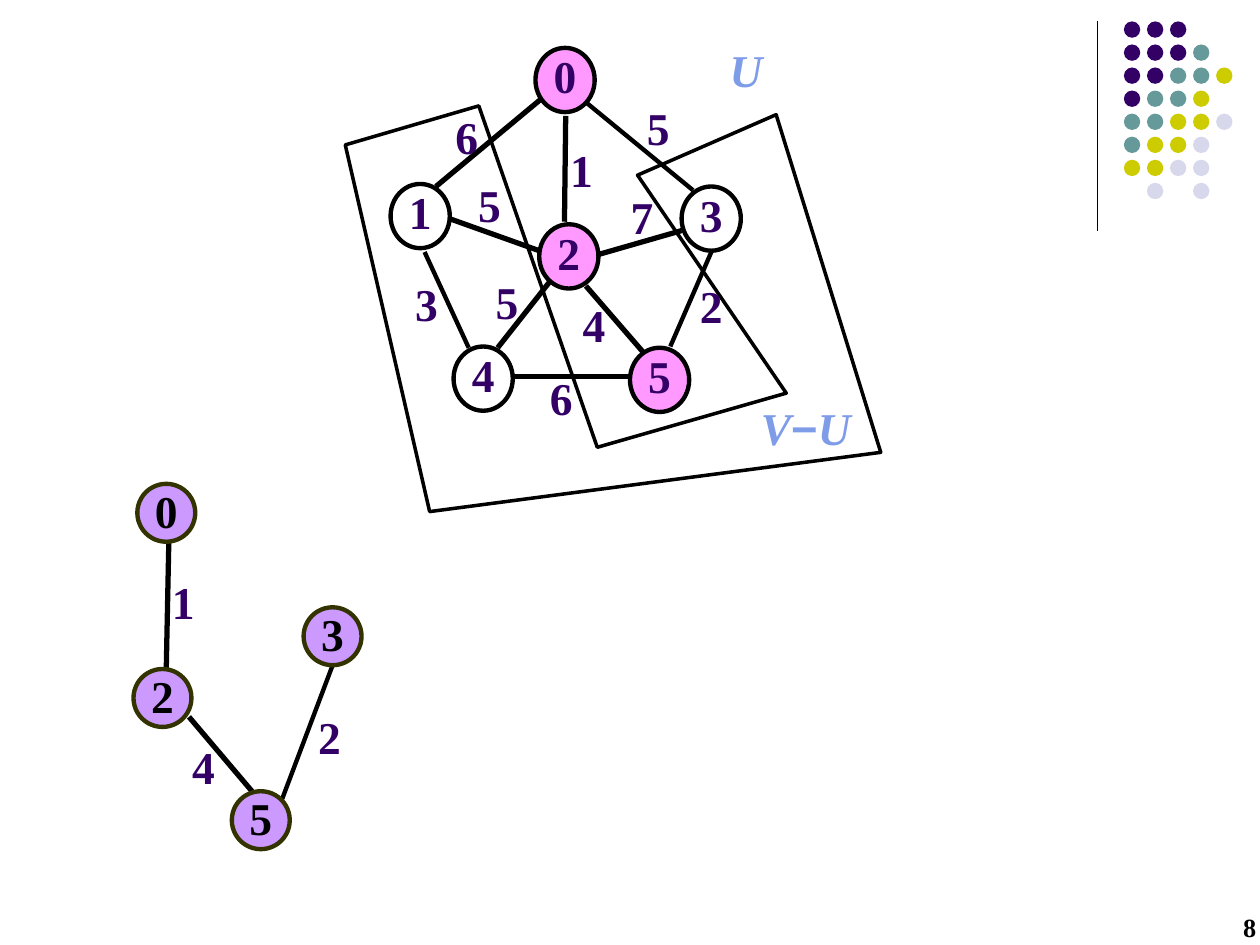
from lxml.etree import SubElement
from pptx import Presentation
from pptx.dml.color import RGBColor
from pptx.enum.shapes import MSO_CONNECTOR, MSO_SHAPE
from pptx.enum.text import MSO_ANCHOR as Anchor, PP_ALIGN as Align
from pptx.oxml.ns import qn
from pptx.util import Inches, Pt

BLACK = RGBColor(0x00, 0x00, 0x00)
WHITE = RGBColor(0xFF, 0xFF, 0xFF)
PURPLE = RGBColor(0x33, 0x00, 0x66)
TEAL = RGBColor(0x66, 0x99, 0x99)
LIME = RGBColor(0xCC, 0xCC, 0x00)
PALE = RGBColor(0xD8, 0xD8, 0xEC)
PINK = RGBColor(0xFF, 0x99, 0xFF)
LILAC = RGBColor(0xCC, 0x99, 0xFF)
OLIVE = RGBColor(0x33, 0x33, 0x00)
BLUE = RGBColor(0x7E, 0x9C, 0xE8)
SERIF, SANS = "Times New Roman", "Arial"

# Corner ornament: one letter per dot
DOT_ROWS = ["PPP", "PPPT", "PPTTL", "PTTL", "TTLLW", "TLLW", "LLWW", " W W"]
DOT_COLORS = {"P": PURPLE, "T": TEAL, "L": LIME, "W": PALE}
DOT_LEFT, DOT_TOP, DOT_STEP, DOT_SIZE = 8.92, 0.17, 0.183, 0.13

# Outline of the vertex set V−U
REGION = [(3.8, 0.84), (4.74, 3.55), (6.24, 3.12), (5.06, 1.39),
          (6.16, 0.91), (6.99, 3.59), (3.41, 4.06), (2.74, 1.15)]

# Graph: node (label, left, top, fill), edge (start, end, width),
# weight (label, left, top)
GRAPH_NODES = [("0", 4.25, 0.38, PINK), ("1", 3.1, 1.46, None),
               ("3", 5.41, 1.48, None), ("2", 4.28, 1.78, PINK),
               ("4", 3.6, 2.75, None), ("5", 5, 2.76, PINK)]
GRAPH_EDGES = [((4.29, 0.79), (3.46, 1.48), 3), ((4.66, 0.82), (5.5, 1.51), 2.5),
               ((3.37, 2), (3.72, 2.76), 2.5), ((4.08, 2.99), (5, 2.99), 3),
               ((5.65, 1.99), (5.32, 2.75), 2.5), ((4.49, 0.92), (4.48, 1.76), 3),
               ((4.36, 2.24), (3.95, 2.76), 3), ((4.65, 2.27), (5.1, 2.79), 3),
               ((4.75, 2.02), (5.41, 1.83), 3), ((3.58, 1.74), (4.28, 1.99), 3)]
GRAPH_WEIGHTS = [("5", 5.06, 0.87), ("6", 3.54, 0.94), ("1", 4.45, 1.2),
                 ("7", 4.93, 1.57), ("6", 4.29, 3.01), ("5", 3.72, 1.48),
                 ("4", 4.55, 2.43), ("2", 5.48, 2.28), ("5", 3.86, 2.25),
                 ("3", 3.22, 2.26)]

# Spanning tree found so far
TREE_NODES = [("0", 1.09, 3.84, LILAC), ("2", 1.06, 5.31, LILAC),
              ("5", 1.84, 6.28, LILAC), ("3", 2.41, 4.82, LILAC)]
TREE_EDGES = [((1.34, 4.3), (1.32, 5.3), 3), ((1.5, 5.69), (2, 6.28), 3),
              ((2.64, 5.28), (2.24, 6.34), 2.5)]
TREE_WEIGHTS = [("1", 1.29, 4.63), ("4", 1.45, 5.94), ("2", 2.45, 5.7)]

deck = Presentation()
deck.slide_width, deck.slide_height = Inches(10), Inches(7.5)
page = deck.slides.add_slide(deck.slide_layouts[6])


def paint(shape, fill, line=None, width=0):
    shape.shadow.inherit = False
    if fill is None:
        shape.fill.background()
    else:
        shape.fill.solid()
        shape.fill.fore_color.rgb = fill
    if line is None:
        shape.line.fill.background()
    else:
        shape.line.color.rgb = line
        shape.line.width = Pt(width)


def add_ellipse(left, top, width, height):
    return page.shapes.add_shape(MSO_SHAPE.OVAL, Inches(left), Inches(top),
                                 Inches(width), Inches(height))


def add_line(start, end, width):
    line = page.shapes.add_connector(MSO_CONNECTOR.STRAIGHT,
                                     *map(Inches, (*start, *end)))
    line.line.color.rgb = BLACK
    line.line.width = Pt(width)
    SubElement(line._element.spPr, qn("a:effectLst"))


def write(shape, spans, color, size=26, align=Align.CENTER, spacing=None):
    """Fill a shape with (text, font, italic) spans, centred without margins."""
    frame = shape.text_frame
    frame.margin_left = frame.margin_right = 0
    frame.margin_top = frame.margin_bottom = 0
    frame.vertical_anchor = Anchor.MIDDLE
    frame.word_wrap = True
    para = frame.paragraphs[0]
    para.alignment = align
    if spacing:
        para.line_spacing = Pt(spacing)
    para.font.size = Pt(size)
    para.font.bold = True
    para.font.color.rgb = color
    for text, font, italic in spans:
        span = para.add_run()
        span.text = text
        span.font.name = font
        span.font.italic = italic


def add_label(spans, left, top, width, height, color, **style):
    box = page.shapes.add_textbox(*map(Inches, (left, top, width, height)))
    write(box, spans, color, **style)


def add_network(nodes, edges, weights, size, outline, ink, spacing):
    for start, end, width in edges:
        add_line(start, end, width)
    for label, left, top, fill in nodes:
        node = add_ellipse(left, top, *size)
        paint(node, fill, outline, 2.5)
        write(node, [(label, SERIF, False)], ink, spacing=spacing)
    for label, left, top in weights:
        add_label([(label, SERIF, False)], left, top, 0.33, 0.36, PURPLE, spacing=26)


# Corner ornament
add_line((8.71, 0.17), (8.71, 1.83), 0.75)
for row, letters in enumerate(DOT_ROWS):
    for column, letter in enumerate(letters):
        if letter in DOT_COLORS:
            dot = add_ellipse(DOT_LEFT + column * DOT_STEP,
                              DOT_TOP + row * DOT_STEP, DOT_SIZE, DOT_SIZE)
            paint(dot, DOT_COLORS[letter])

# Region and its set names
corners = [(Inches(x), Inches(y)) for x, y in REGION]
builder = page.shapes.build_freeform(*corners[0])
builder.add_line_segments(corners[1:], close=True)
paint(builder.convert_to_shape(), WHITE, BLACK, 2)
add_label([("U", SERIF, True)], 5.79, 0.28, 0.47, 0.54, BLUE, align=Align.LEFT)
add_label([("V", SERIF, True), ("−", SANS, False), ("U", SERIF, True)],
          5.81, 3.12, 1.17, 0.54, BLUE)

# Graph and tree
add_network(GRAPH_NODES, GRAPH_EDGES, GRAPH_WEIGHTS, (0.47, 0.51), BLACK, PURPLE, 26)
add_network(TREE_NODES, TREE_EDGES, TREE_WEIGHTS, (0.46, 0.46), OLIVE, BLACK, 28)

# Page number
add_label([("8", SERIF, False)], 9.69, 7.21, 0.28, 0.29, BLACK,
          size=15, align=Align.RIGHT)

deck.save("out.pptx")
